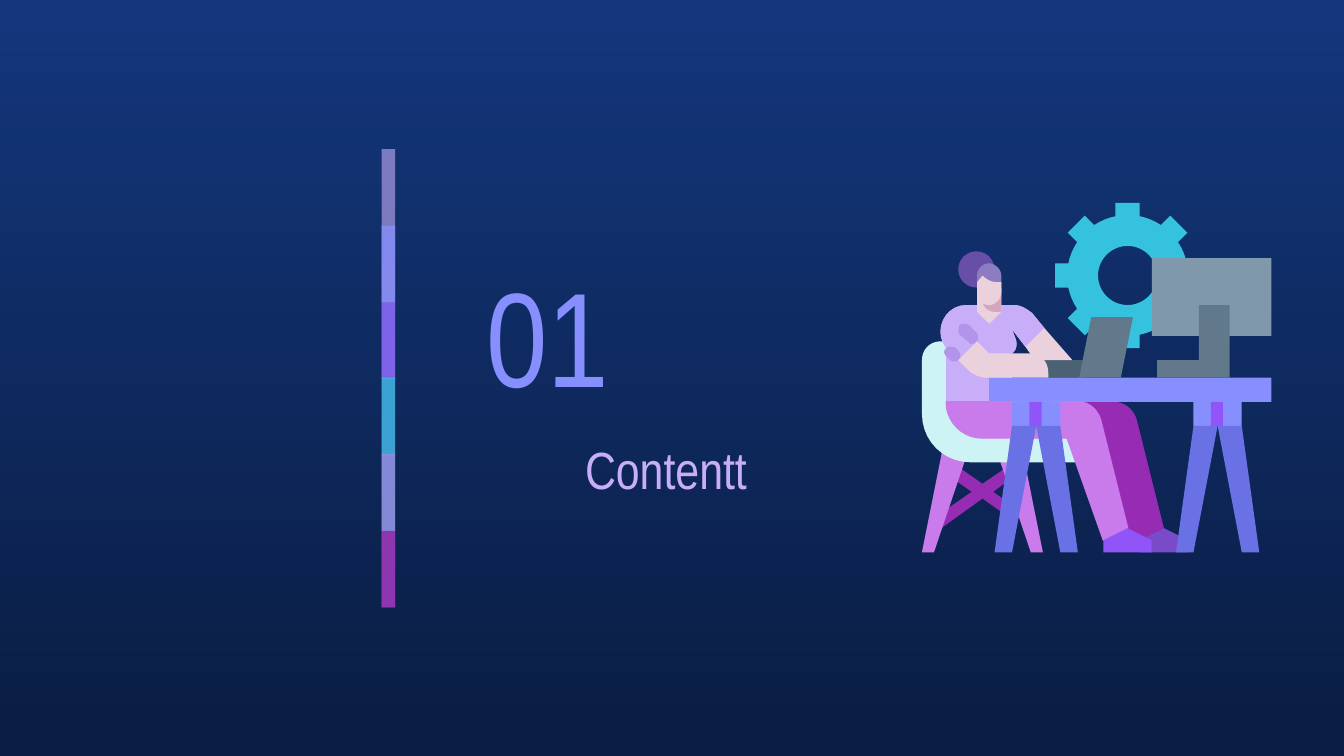
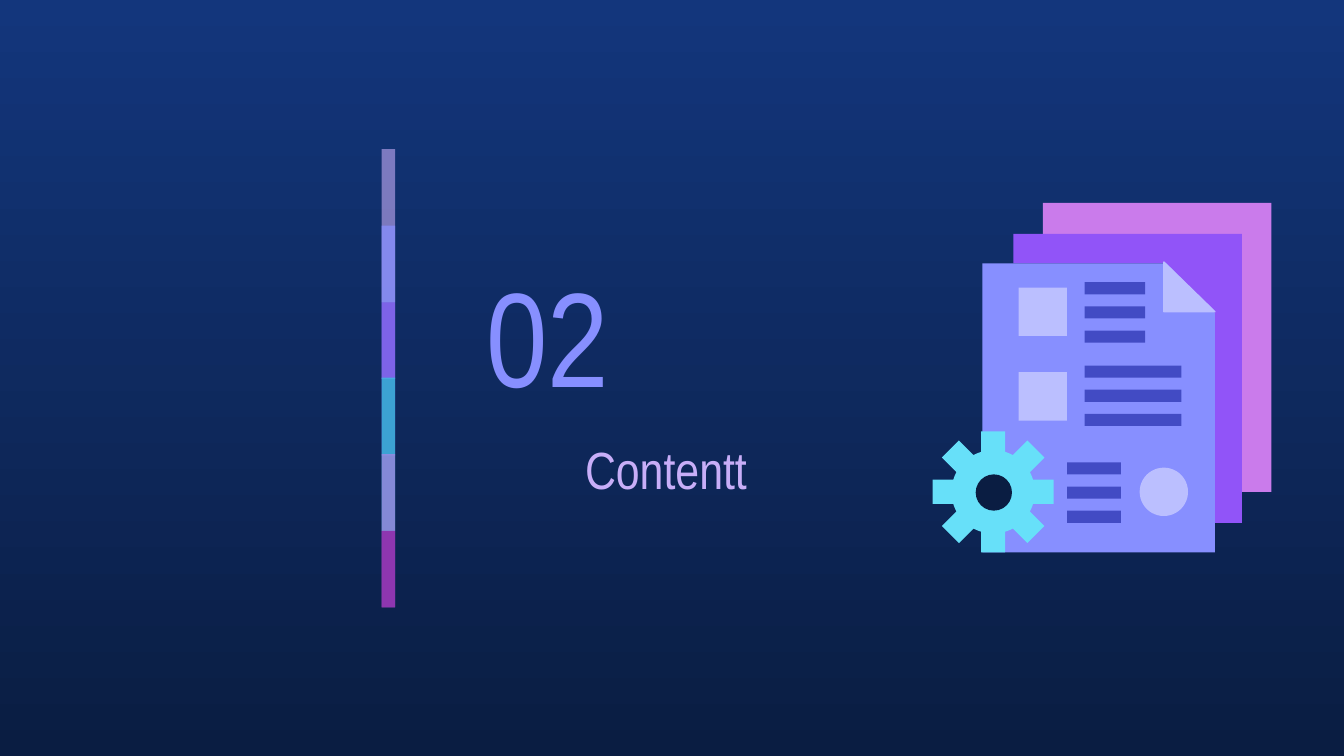
"""Build two section slides with a striped bar, a number and a drawing."""
from dataclasses import dataclass
from math import atan2, cos, hypot, pi, sin

from lxml import etree
from pptx import Presentation
from pptx.dml.color import RGBColor
from pptx.enum.shapes import MSO_SHAPE
from pptx.enum.text import MSO_ANCHOR, PP_ALIGN
from pptx.oxml.ns import qn
from pptx.util import Pt

PX = 9144
RECT, OVAL = MSO_SHAPE.RECTANGLE, MSO_SHAPE.OVAL
MIDDLE = MSO_ANCHOR.MIDDLE
LEFT, CENTER = PP_ALIGN.LEFT, PP_ALIGN.CENTER


@dataclass(frozen=True)
class Theme:
    font: str = "Arial Narrow"
    big: int = 72
    small: int = 28
    top: str = "13367C"
    navy: str = "0A1D42"
    lilac: str = "C8AEF8"
    fold: str = "B394EB"
    blue: str = "878FFF"
    pale: str = "BBBFFF"
    leg: str = "6971E5"
    ink: str = "424BC4"
    violet: str = "9154F8"
    shade: str = "794BC8"
    teal: str = "35C2DF"
    cyan: str = "67E0F9"
    ice: str = "CEF3F5"
    pink: str = "CA7BEB"
    plum: str = "972CB4"
    skin: str = "EAD1DC"
    neck: str = "D5A6BD"
    bun: str = "674EA7"
    hair: str = "8E7CC3"
    steel: str = "8098AB"
    slate: str = "62798C"
    dark: str = "4B6275"


def bend(points, steps=10):
    """Turn corners and cubic curves into a list of plain points."""
    out = [points[0]]
    for point in points[1:]:
        if len(point) == 2:
            out.append(point)
            continue
        ax, ay = out[-1]
        bx, by, cx, cy, dx, dy = point
        for i in range(1, steps + 1):
            t = i / steps
            u = 1 - t
            a, b, c, d = u ** 3, 3 * u * u * t, 3 * u * t * t, t ** 3
            out.append((a * ax + b * bx + c * cx + d * dx,
                        a * ay + b * by + c * cy + d * dy))
    return out


def ring(x, y, r, count=48):
    """Give points evenly spaced on a circle."""
    return [(x + r * cos(2 * pi * i / count), y + r * sin(2 * pi * i / count))
            for i in range(count)]


class Deck:
    """Hold the style and the current slide."""

    def __init__(self, theme):
        self.theme = theme
        self.prs = Presentation()
        self.prs.slide_width, self.prs.slide_height = 1000 * PX, 5143500
        fill = self.prs.slide_master.background.fill
        fill.gradient()
        fill.gradient_angle = 270
        for stop, tone in zip(fill.gradient_stops, (theme.top, theme.navy)):
            stop.color.rgb = RGBColor.from_string(tone)

    def section(self, number, title):
        """Start a slide with its bar, number and title."""
        t = self.theme
        self.slide = self.prs.slides.add_slide(self.prs.slide_layouts[6])
        tones = ((t.lilac, 59), (t.blue, 74), (t.violet, 53),
                 (t.teal, 76), (t.pink, 56), (t.plum, 74))
        for i, (tone, alpha) in enumerate(tones):
            tall = 57 if i == len(tones) - 1 else 114
            self.rect(284, 111 + round(56.8 * i), 10, tall, tone, alpha)
        self.text(352, 181, 175, 135, number, t.big, t.blue, LEFT)
        self.text(352, 315, 287, 67, title, t.small, t.lilac, CENTER)

    def paint(self, shape, tone, alpha=None, edge=False):
        """Give a shape its fill and, if asked, an edge."""
        rgb = RGBColor.from_string(tone)
        shape.shadow.inherit = False
        shape.fill.solid()
        shape.fill.fore_color.rgb = rgb
        if alpha:
            color = shape.element.spPr.find(".//" + qn("a:srgbClr"))
            etree.SubElement(color, qn("a:alpha"), val=str(alpha * 1000))
        if edge:
            shape.line.color.rgb = rgb
            shape.line.width = Pt(0.75)
        else:
            shape.line.fill.background()

    def rect(self, x, y, w, h, tone, alpha=None, kind=RECT):
        """Add a rectangle or another preset shape."""
        box = (x * PX, y * PX, w * PX, h * PX)
        self.paint(self.slide.shapes.add_shape(kind, *box), tone, alpha)

    def disc(self, x, y, size, tone):
        """Add a circle."""
        self.rect(x, y, size, size, tone, kind=OVAL)

    def form(self, tone, *points, hole=None, edge=False):
        """Add a closed outline, with a hole if one is given."""
        paths = [bend(points)] + ([hole] if hole else [])
        paths = [[(round(x * PX), round(y * PX)) for x, y in one] for one in paths]
        pen = self.slide.shapes.build_freeform(*paths[0][0], scale=1.0)
        pen.add_line_segments(paths[0][1:], close=True)
        for one in paths[1:]:
            pen.move_to(*one[0])
            pen.add_line_segments(one[1:], close=True)
        self.paint(pen.convert_to_shape(), tone, edge=edge)

    def gear(self, x, y, tip, root, tone, hole=None):
        """Add a gear with eight teeth."""
        half, points = 9, []
        foot = (root ** 2 - half ** 2) ** 0.5
        side = atan2(half, foot)
        for i in range(8):
            turn = i * pi / 4
            tooth = [(foot, -half), (tip, -half), (tip, half), (foot, half)]
            spots = [(hypot(a, b), turn + atan2(b, a)) for a, b in tooth]
            gap = pi / 4 - 2 * side
            spots += [(root, turn + side + gap * k / 4) for k in (1, 2, 3)]
            points += [(x + r * cos(a), y + r * sin(a)) for r, a in spots]
        self.form(tone, *points, hole=ring(x, y, hole) if hole else None)

    def text(self, x, y, w, h, words, size, tone, align):
        """Add one line of text."""
        box = self.slide.shapes.add_textbox(x * PX, y * PX, w * PX, h * PX)
        frame = box.text_frame
        frame.word_wrap = True
        frame.vertical_anchor = MIDDLE
        frame.margin_left = frame.margin_right = 10 * PX
        frame.margin_top = frame.margin_bottom = 10 * PX
        frame.text = words
        line = frame.paragraphs[0]
        line.alignment = align
        font = line.runs[0].font
        font.name, font.size = self.theme.font, Pt(size)
        font.color.rgb = RGBColor.from_string(tone)

    def limb(self, x, tone, *hem, edge=False):
        """Add one trouser leg."""
        self.form(tone, (x, 299), (x, 314, x + 12, 326, x + 27, 326),
                  (x + 90, 326), *hem, (x + 135, 393), (x + 115, 313),
                  (x + 113, 305, x + 106, 299, x + 98, 299), edge=edge)

    def shoe(self, x, tone):
        """Add one shoe."""
        self.form(tone, (x + 18, 393), (x, 402), (x, 411),
                  (x + 36, 411), (x + 36, 402))

    def stand(self, x):
        """Add one trestle of the desk."""
        t = self.theme
        self.rect(x, 299, 36, 18, t.blue)
        self.rect(x + 13, 299, 9, 18, t.violet)
        for way in (-1, 1):
            mid = x + 18
            self.form(t.leg, (mid, 317), (mid + way * 18, 411),
                      (mid + way * 31, 411), (mid + way * 18, 317))


def chair(deck):
    """Draw the chair."""
    t = deck.theme
    deck.form(t.plum, (711, 346), (706, 354), (723, 366), (694, 386),
              (699, 394), (731, 371), (748, 383), (753, 376), (739, 366),
              (755, 354), (750, 347), (731, 360))
    deck.form(t.pink, (740, 331), (767, 411), (776, 411), (760, 331))
    deck.form(t.pink, (702, 331), (686, 411), (695, 411), (722, 331))
    deck.form(t.ice, (700, 254), (692, 254, 686, 260, 686, 268), (686, 308),
              (686, 328, 702, 344, 722, 344), (807, 344), (807, 322),
              (731, 322), (719, 322, 709, 312, 709, 299), (709, 254))


def torso(deck):
    """Draw the arms and the shirt."""
    t = deck.theme
    front = [(719, 227), (703, 227, 694, 246, 704, 259), (704, 299),
             (753, 299), (753, 263), (756, 261, 757, 257, 756, 253),
             (753, 245), (763, 258)]
    back = [(777, 244), (768, 233), (764, 230, 760, 227, 754, 227)]
    deck.form(t.skin, *front, (770, 268), (798, 268), *back)
    deck.form(t.lilac, *front, *back)
    deck.rect(736, 281, 210, 18, t.blue)
    deck.form(t.fold, (707, 258), (706, 258, 705, 258, 704, 259),
              (702, 261, 702, 263, 704, 265), (707, 268),
              (708, 269, 709, 269, 710, 269), (711, 269, 712, 269, 713, 268),
              (715, 266, 715, 263, 713, 261), (711, 259),
              (710, 258, 708, 258, 707, 258))
    deck.form(t.fold, (718, 241), (717, 241, 715, 241, 714, 242),
              (713, 244, 713, 247, 714, 249), (720, 254),
              (721, 255, 722, 256, 723, 256), (725, 256, 726, 255, 727, 254),
              (728, 253, 728, 250, 727, 248), (721, 242),
              (720, 241, 719, 241, 718, 241))
    deck.form(t.skin, (727, 214), (727, 232), (736, 241), (745, 232), (745, 214))
    deck.form(t.skin, (727, 254), (713, 268), (721, 276),
              (725, 279, 729, 281, 734, 281), (780, 281), (780, 277),
              (780, 269, 774, 263, 767, 263), (736, 263))


def head(deck):
    """Draw the head."""
    t = deck.theme
    deck.form(t.neck, (731, 214), (731, 223), (731, 228, 735, 232, 740, 232),
              (745, 232), (745, 214))
    deck.disc(713, 187, 27, t.bun)
    deck.form(t.hair, (736, 196), (731, 196, 727, 200, 727, 205), (727, 214),
              (745, 214), (745, 205), (745, 200, 740, 196, 736, 196))
    deck.form(t.skin, (731, 205), (727, 210), (727, 218),
              (727, 223, 731, 227, 736, 227), (740, 227, 745, 223, 745, 218),
              (745, 210), (742, 210), (738, 210, 734, 208, 731, 205))


def desk(deck):
    """Draw a woman at work on a desk."""
    t = deck.theme
    deck.gear(839, 205, 54, 45, t.teal, hole=22)
    deck.rect(776, 268, 31, 13, t.dark)
    chair(deck)
    deck.limb(731, t.plum, (839, 402), (848, 402))
    deck.shoe(848, t.shade)
    torso(deck)
    deck.form(t.slate, (812, 236), (803, 281), (834, 281), (843, 236))
    deck.limb(704, t.pink, (821, 402), edge=True)
    deck.shoe(821, t.violet)
    deck.rect(857, 192, 89, 58, t.steel)
    deck.form(t.slate, (892, 227), (892, 268), (861, 268), (861, 281),
              (915, 281), (915, 227))
    deck.stand(888)
    deck.stand(753)
    head(deck)


def sheets(deck):
    """Draw a stack of pages and a gear."""
    t = deck.theme
    deck.form(t.pink, (776, 151), (776, 174), (924, 174), (924, 366),
              (946, 366), (946, 151))
    deck.form(t.violet, (754, 174), (754, 196), (866, 196), (901, 232),
              (901, 389), (924, 389), (924, 174))
    deck.form(t.blue, (731, 196), (731, 411), (904, 411), (904, 233), (868, 196))
    deck.gear(739, 366, 45, 31, t.cyan)
    deck.disc(726, 353, 27, t.navy)
    for y in (214, 277):
        deck.rect(758, y, 36, 36, t.pale)
    deck.disc(848, 348, 36, t.pale)
    for x, y, w in ((807, 210, 45), (807, 272, 72), (794, 344, 40)):
        for row in range(3):
            deck.rect(x, y + 18 * row, w, 9, t.ink)
    deck.form(t.pale, (866, 195), (866, 232), (904, 232), edge=True)


def main():
    """Build and save the slides."""
    deck = Deck(Theme())
    for number, draw in (("01", desk), ("02", sheets)):
        deck.section(number, "Contentt")
        draw(deck)
    deck.prs.save("out.pptx")


if __name__ == "__main__":
    main()
